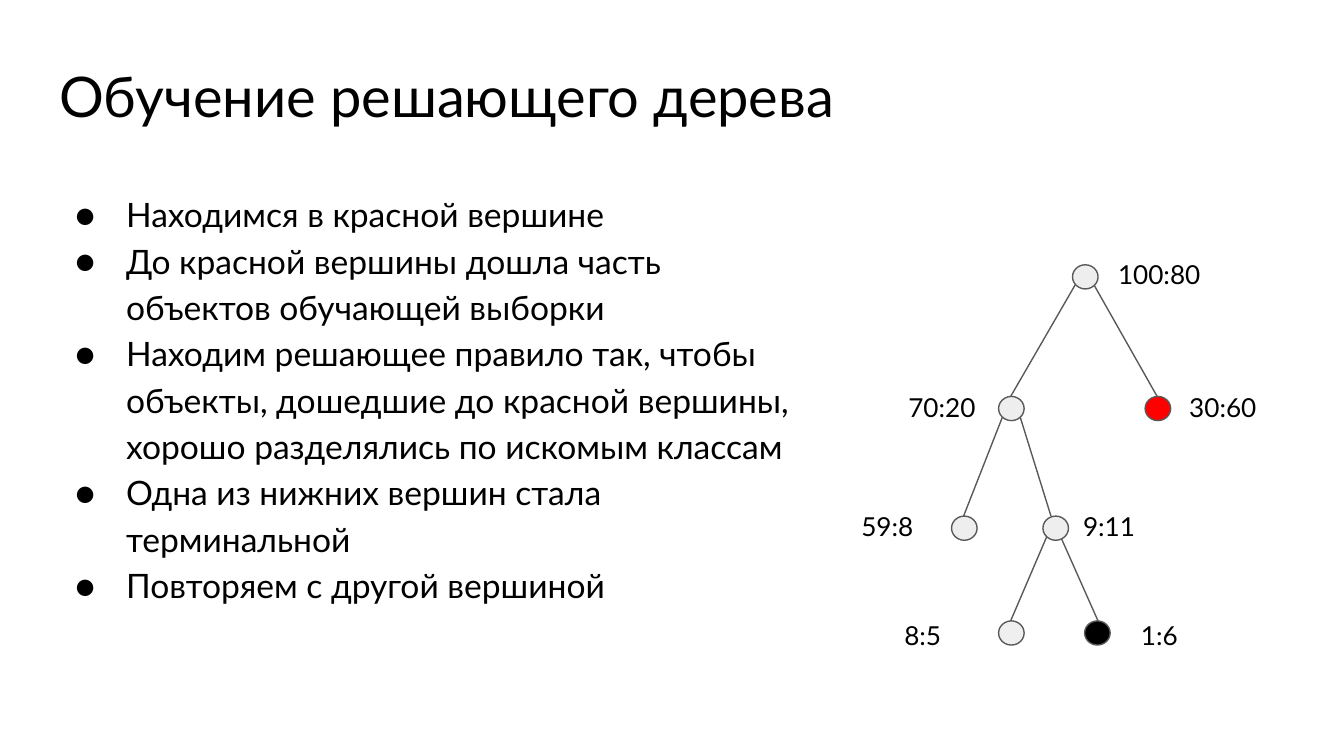
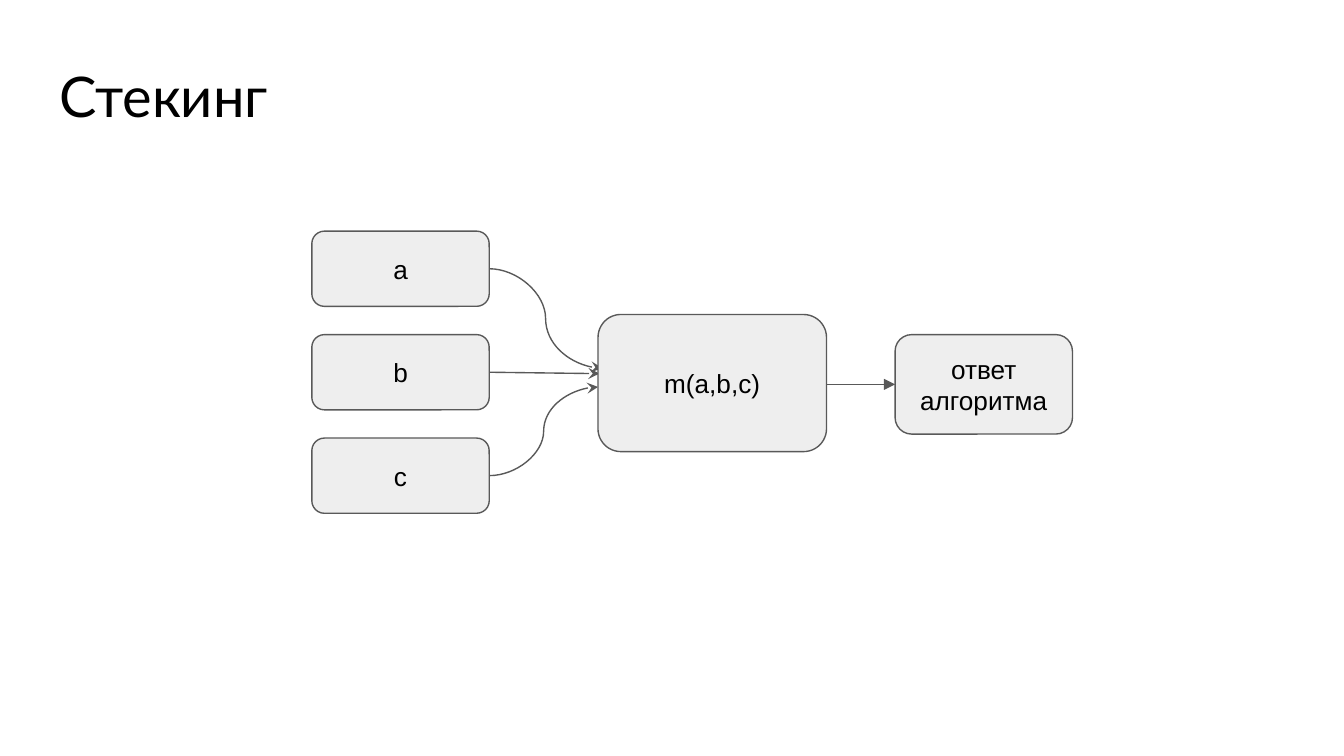
from dataclasses import dataclass

from lxml.etree import SubElement
from pptx import Presentation
from pptx.dml.color import RGBColor
from pptx.enum.shapes import MSO_CONNECTOR, MSO_SHAPE
from pptx.enum.text import MSO_ANCHOR, MSO_AUTO_SIZE, PP_ALIGN
from pptx.oxml.ns import qn
from pptx.util import Inches, Pt


@dataclass(frozen=True)
class Theme:
    text: RGBColor = RGBColor(0x00, 0x00, 0x00)
    line: RGBColor = RGBColor(0x59, 0x59, 0x59)
    fill: RGBColor = RGBColor(0xEE, 0xEE, 0xEE)
    leaf: RGBColor = RGBColor(0xEF, 0xEF, 0xEF)
    current: RGBColor = RGBColor(0xFF, 0x00, 0x00)
    terminal: RGBColor = RGBColor(0x00, 0x00, 0x00)
    font: str = "Lato"
    box_font: str = "Arial"
    title_size: Pt = Pt(30)
    body_size: Pt = Pt(18)
    label_size: Pt = Pt(14)
    line_width: Pt = Pt(0.75)


THEME = Theme()
TITLE_ONLY = 5
MARGIN = 0.34
NODE_W, NODE_H = 0.19, 0.18
BOX_W, BOX_H = 1.32, 0.56

BULLETS = [
    "Находимся в красной вершине",
    "До красной вершины дошла часть объектов обучающей выборки",
    "Находим решающее правило так, чтобы объекты, дошедшие до красной вершины, "
    "хорошо разделялись по искомым классам",
    "Одна из нижних вершин стала терминальной",
    "Повторяем с другой вершиной",
]

# Class counts, node left and top, label left, top and width, node fill
NODES = [
    ("100:80", 7.98, 1.97, 8.22, 1.82, 1.02, THEME.fill),
    ("70:20", 7.43, 2.95, 6.66, 2.81, 1.02, THEME.fill),
    ("30:60", 8.52, 2.95, 8.75, 2.81, 1.02, THEME.current),
    ("59:8", 7.08, 3.84, 6.31, 3.7, 1.02, THEME.fill),
    ("9:11", 7.76, 3.84, 7.96, 3.7, 1.02, THEME.fill),
    ("8:5", 7.43, 4.62, 6.63, 4.51, 0.68, THEME.leaf),
    ("1:6", 8.07, 4.62, 8.39, 4.51, 0.68, THEME.terminal),
]
# Parent end and child end of each branch
BRANCHES = [
    ((8, 2.12), (7.52, 2.95)),
    ((8.14, 2.12), (8.61, 2.95)),
    ((7.46, 3.1), (7.17, 3.84)),
    ((7.59, 3.1), (7.82, 3.84)),
    ((7.79, 3.99), (7.52, 4.62)),
    ((7.89, 3.99), (8.17, 4.62)),
]


def format_text(sp, lines, size, font=THEME.font, align=PP_ALIGN.LEFT, anchor=MSO_ANCHOR.TOP):
    tf = sp.text_frame
    tf.word_wrap = True
    tf.auto_size = MSO_AUTO_SIZE.NONE
    tf.vertical_anchor = anchor
    tf.margin_left = tf.margin_right = tf.margin_top = tf.margin_bottom = Inches(0.1)
    tf.text = "\n".join(lines)
    for p in tf.paragraphs:
        p.alignment = align
        p.font.name, p.font.size = font, size
        p.font.color.rgb = THEME.text
    return tf


def add_titled_slide(prs, title):
    slide = prs.slides.add_slide(prs.slide_layouts[TITLE_ONLY])
    sp = slide.shapes.title
    sp.left, sp.top = Inches(MARGIN), Inches(0.36)
    sp.width, sp.height = Inches(9.32), Inches(0.63)
    format_text(sp, [title], THEME.title_size)
    return slide


def add_text(shapes, lines, x, y, w, h, size):
    sp = shapes.add_textbox(Inches(x), Inches(y), Inches(w), Inches(h))
    return format_text(sp, lines, size)


def add_bullets(shapes, lines, x, y, w, h):
    for p in add_text(shapes, lines, x, y, w, h, THEME.body_size).paragraphs:
        p.line_spacing = 1.15
        pPr = p._p.get_or_add_pPr()
        pPr.set("marL", str(Inches(0.5)))
        pPr.set("indent", str(Inches(-0.38)))
        for tag, attrs in (("a:buFont", {"typeface": THEME.font}), ("a:buChar", {"char": "●"})):
            bullet = pPr.makeelement(qn(tag), attrs)
            pPr.insert_element_before(bullet, "a:tabLst", "a:defRPr", "a:extLst")


def add_shape(shapes, kind, x, y, w, h, fill=THEME.fill):
    sp = shapes.add_shape(kind, Inches(x), Inches(y), Inches(w), Inches(h))
    sp.shadow.inherit = False
    sp.fill.solid()
    sp.fill.fore_color.rgb = fill
    sp.line.color.rgb = THEME.line
    sp.line.width = THEME.line_width
    return sp


def add_box(shapes, text, x, y, w=BOX_W, h=BOX_H):
    sp = add_shape(shapes, MSO_SHAPE.ROUNDED_RECTANGLE, x, y, w, h)
    format_text(sp, [text], THEME.label_size, THEME.box_font, PP_ALIGN.CENTER, MSO_ANCHOR.MIDDLE)


def add_line(shapes, start, end, kind=MSO_CONNECTOR.STRAIGHT, head=None):
    cxn = shapes.add_connector(kind, *map(Inches, (*start, *end)))
    cxn.line.color.rgb = THEME.line
    cxn.line.width = THEME.line_width
    if head:
        SubElement(cxn.line._get_or_add_ln(), qn("a:tailEnd"), type=head)
    SubElement(cxn._element.spPr, qn("a:effectLst"))


def add_tree(slide):
    shapes = slide.shapes.add_group_shape().shapes
    for start, end in BRANCHES:
        add_line(shapes, start, end)
    for counts, x, y, label_x, label_y, label_w, fill in NODES:
        add_shape(shapes, MSO_SHAPE.OVAL, x, y, NODE_W, NODE_H, fill)
        add_text(shapes, [counts], label_x, label_y, label_w, 0.21, THEME.label_size)


def build_tree_slide(prs):
    slide = add_titled_slide(prs, "Обучение решающего дерева")
    add_bullets(slide.shapes, BULLETS, MARGIN, 1.3, 5.81, 3.74)
    add_tree(slide)


def build_stacking_slide(prs):
    shapes = add_titled_slide(prs, "Стекинг").shapes
    models_x, models_y, step = 2.32, 1.72, 0.77
    curve, straight = MSO_CONNECTOR.CURVE, MSO_CONNECTOR.STRAIGHT
    inputs = [
        ("a", (4.48, 2.74), curve),
        ("b", (4.46, 2.78), straight),
        ("c", (4.45, 2.88), curve),
    ]
    for i, (name, end, kind) in enumerate(inputs):
        y = models_y + i * step
        add_box(shapes, name, models_x, y)
        add_line(shapes, (models_x + BOX_W, y + BOX_H / 2), end, kind, "stealth")
    add_box(shapes, "m(a,b,c)", 4.45, 2.34, 1.7, 1.02)
    add_line(shapes, (6.15, 2.86), (6.66, 2.86), head="triangle")
    add_box(shapes, "ответ алгоритма", 6.66, 2.49, h=0.74)


def main():
    prs = Presentation()
    prs.slide_width = Inches(10)
    prs.slide_height = prs.slide_width * 9 // 16
    build_tree_slide(prs)
    build_stacking_slide(prs)
    prs.save("out.pptx")


if __name__ == "__main__":
    main()
